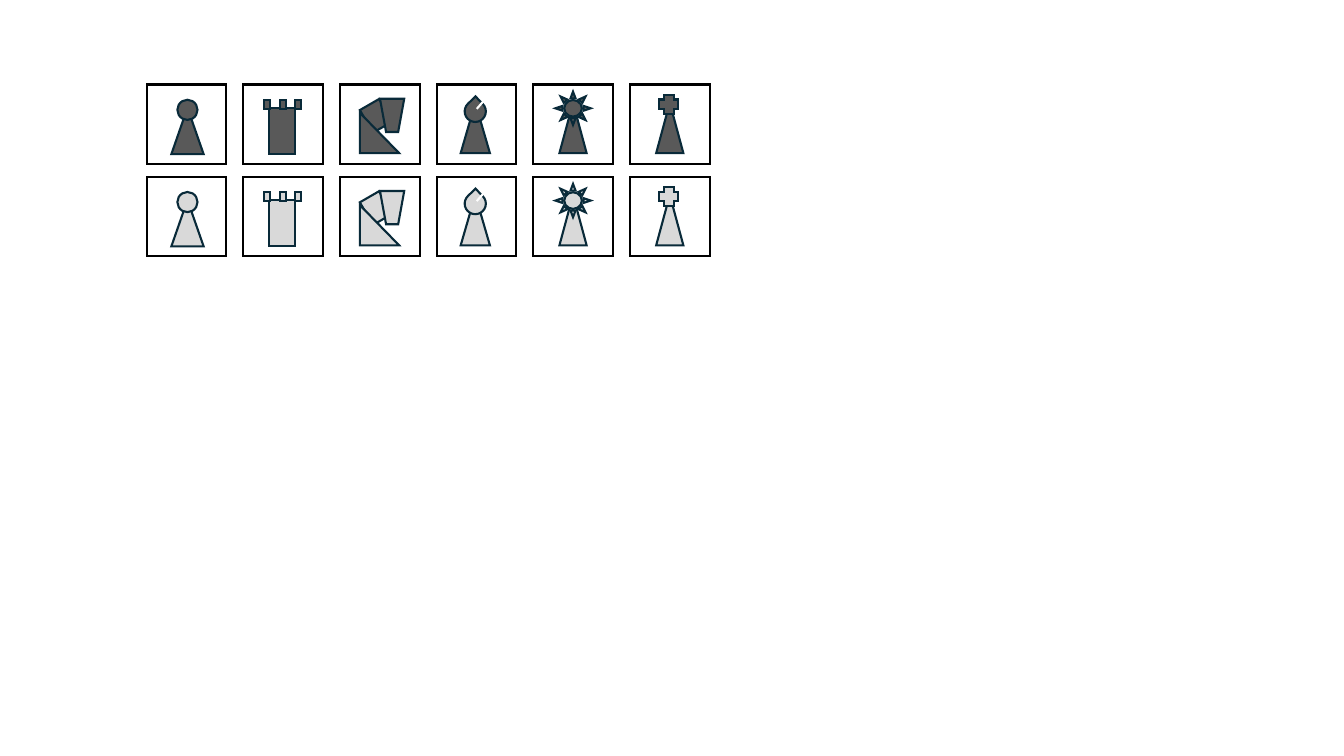
"""Build a slide with two rows of six chess piece tiles, dark above light."""
from lxml import etree
from pptx import Presentation
from pptx.dml.color import RGBColor
from pptx.enum.shapes import MSO_CONNECTOR, MSO_SHAPE
from pptx.oxml.ns import qn
from pptx.util import Pt

PX_PER_INCH = 1000
WHITE = RGBColor(0xFF, 0xFF, 0xFF)
BLACK = RGBColor(0x00, 0x00, 0x00)
NAVY = RGBColor(0x09, 0x2A, 0x39)
DARK = RGBColor(0x59, 0x59, 0x59)
LIGHT = RGBColor(0xD9, 0xD9, 0xD9)

LEFT, TOP = 1455, 838
COLUMN_STEP, ROW_STEP = 959, 915
TILE = 790

PIECES = {
    "pawn": [
        (MSO_SHAPE.ISOSCELES_TRIANGLE, 245, 232, 320, 460, 0),
        (MSO_SHAPE.OVAL, 305, 152, 200, 200, 0),
    ],
    "rook": [
        (MSO_SHAPE.RECTANGLE, 256, 232, 260, 460, 0),
        (MSO_SHAPE.RECTANGLE, 206, 152, 60, 90, 0),
        (MSO_SHAPE.RECTANGLE, 516, 152, 60, 90, 0),
        (MSO_SHAPE.RECTANGLE, 366, 152, 60, 90, 0),
    ],
    "knight": [
        (MSO_SHAPE.RECTANGLE, 227, 202, 260, 220, 60),
        (MSO_SHAPE.RIGHT_TRIANGLE, 197, 282, 390, 400, 0),
        (MSO_SHAPE.TRAPEZOID, 397, 142, 240, 330, 180),
    ],
    "bishop": [
        (MSO_SHAPE.ISOSCELES_TRIANGLE, 238, 182, 290, 500, 0),
        (MSO_SHAPE.TEAR, 278, 162, 210, 210, 315.9),
    ],
    "queen": [
        (MSO_SHAPE.ISOSCELES_TRIANGLE, 259, 182, 270, 500, 0),
        (MSO_SHAPE.SUN, 219, 72, 350, 330, 0),
    ],
    "king": [
        (MSO_SHAPE.ISOSCELES_TRIANGLE, 260, 182, 270, 500, 0),
        (MSO_SHAPE.CROSS, 290, 102, 190, 190, 0),
    ],
}


def emu(*lengths):
    return [round(length * 914400 / PX_PER_INCH) for length in lengths]


def add_part(group, kind, left, top, width, height, fill, outline):
    part = group.shapes.add_shape(kind, *emu(left, top, width, height))
    part.shadow.inherit = False
    part.fill.solid()
    part.fill.fore_color.rgb = fill
    part.line.color.rgb = outline
    part.line.width = Pt(1.5)
    etree.SubElement(part.line._get_or_add_ln(), qn("a:miter"), lim="800000")
    return part


deck = Presentation()
deck.slide_width, deck.slide_height = emu(13333, 7500)
page = deck.slides.add_slide(deck.slide_layouts[6])

for row, colour in enumerate((DARK, LIGHT)):
    y = TOP + row * ROW_STEP
    for column, (name, parts) in enumerate(PIECES.items()):
        x = LEFT + column * COLUMN_STEP
        group = page.shapes.add_group_shape()
        add_part(group, MSO_SHAPE.RECTANGLE, x, y, TILE, TILE, WHITE, BLACK)
        for kind, left, top, width, height, angle in parts:
            part = add_part(group, kind, x + left, y + top, width, height, colour, NAVY)
            part.rotation = angle
        if name == "bishop":
            slit = group.shapes.add_connector(
                MSO_CONNECTOR.STRAIGHT, *emu(x + 528, y + 92, x + 398, y + 242)
            )
            slit.line.color.rgb = WHITE
            slit.line.width = Pt(1.5)
            etree.SubElement(slit._element.spPr, qn("a:effectLst"))

deck.save("out.pptx")
